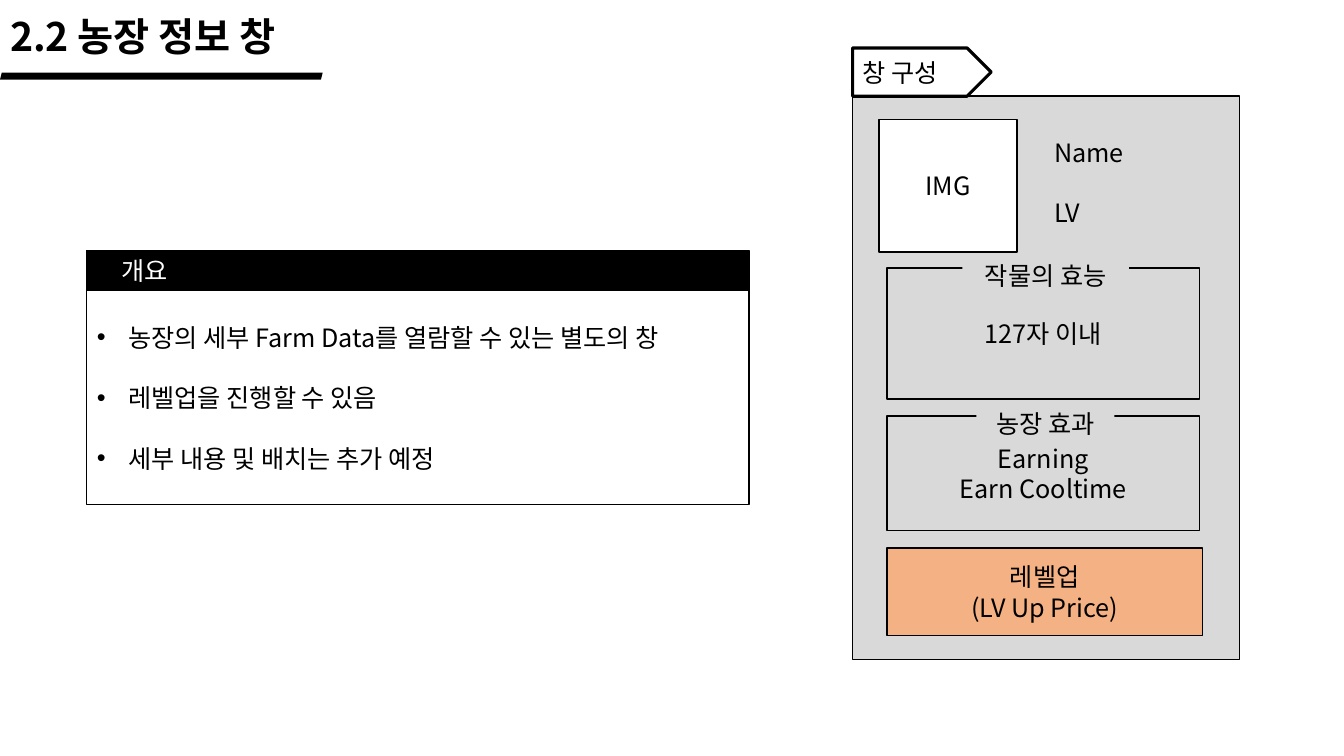
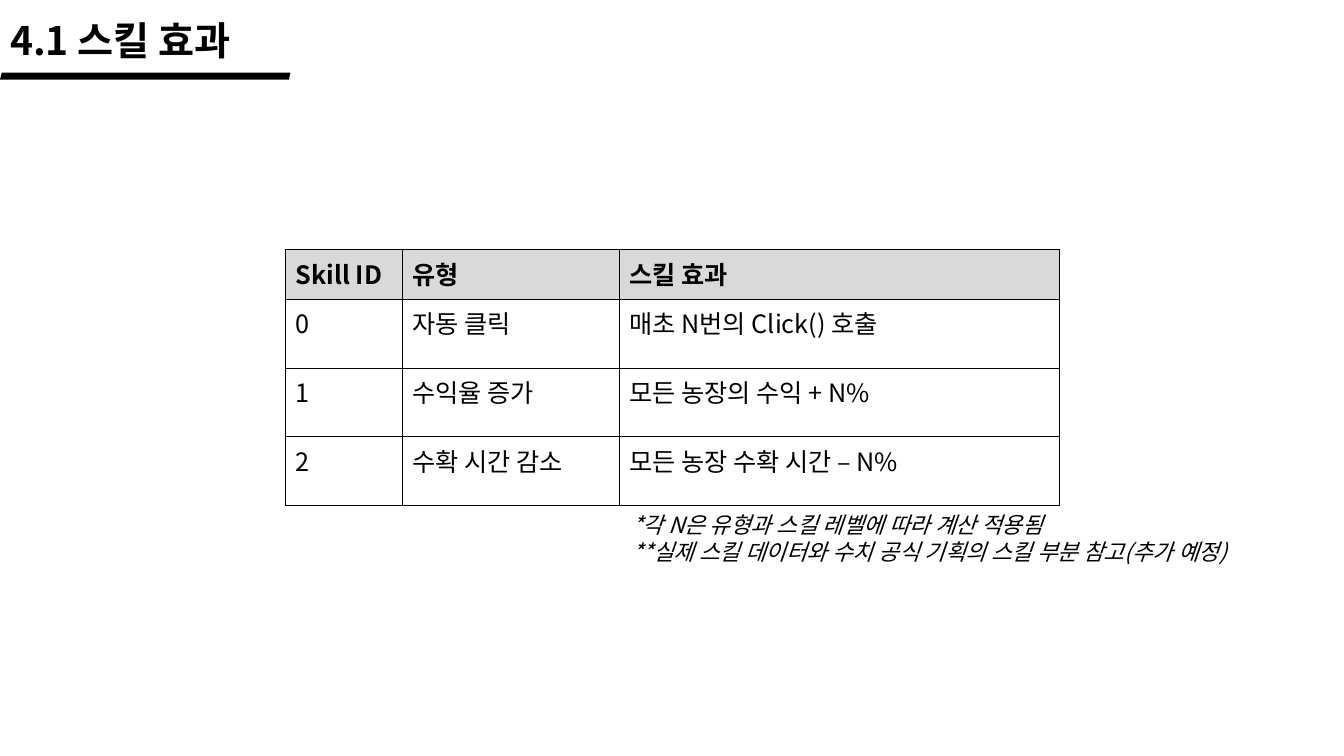
from lxml import etree
from pptx import Presentation
from pptx import util as u
from pptx.dml import color
from pptx.enum import shapes, text
from pptx.oxml import ns

FONT = "Noto Sans CJK KR"
BLACK, WHITE, GREY, ORANGE = "000000", "FFFFFF", "D9D9D9", "F4B183"
LEFT, CENTER = text.PP_ALIGN.LEFT, text.PP_ALIGN.CENTER
RECT, TAG = shapes.MSO_SHAPE.RECTANGLE, shapes.MSO_SHAPE.PENTAGON
TITLE_ONLY, TITLE_AND_BODY = 5, 1

FARM_TITLE = ("2.2 농장 정보 창", 5, 245, 230.5)
SKILL_TITLE = ("4.1 스킬 효과", 8, 221, 207.5)

OVERVIEW_HEADING = "개요"
OVERVIEW_POINTS = [
    "농장의 세부 Farm Data를 열람할 수 있는 별도의 창",
    "레벨업을 진행할 수 있음",
    "세부 내용 및 배치는 추가 예정",
]
OVERVIEW_LEFT, OVERVIEW_TOP, OVERVIEW_WIDTH = 62, 179, 473
HEADING_HEIGHT, POINTS_HEIGHT = 28.5, 153

WINDOW_PARTS = [
    ("", (609, 68.5, 276.5, 402.5), GREY, 1, CENTER, RECT),
    ("레벨업\v(LV Up Price)", (633.5, 391.5, 225.5, 62.5), ORANGE, 1, CENTER, RECT),
    ("창 구성", (609, 34.25, 99, 34.5), WHITE, 2.25, LEFT, TAG),
    ("IMG", (628, 85.5, 98.5, 94.5), WHITE, 1, CENTER, RECT),
    ("Name", (746, 94.5, 80.5, 29), None, 0, LEFT, RECT),
    ("LV", (746, 137, 80.5, 29), None, 0, LEFT, RECT),
    ("127자 이내", (633.5, 191.5, 223.5, 93.5), None, 1, CENTER, RECT),
    ("Earning\nEarn Cooltime", (633.5, 297, 223.5, 82), None, 1, CENTER, RECT),
    ("작물의 효능", (687.5, 183, 119, 27.5), GREY, 0, CENTER, RECT),
    ("농장 효과", (697.5, 288.5, 98.5, 27.5), GREY, 0, CENTER, RECT),
]

SKILL_ROWS = [
    ("Skill ID", "유형", "스킬 효과"),
    ("0", "자동 클릭", "매초 N번의 Click() 호출"),
    ("1", "수익율 증가", "모든 농장의 수익 + N%"),
    ("2", "수확 시간 감소", "모든 농장 수확 시간 – N%"),
]
SKILL_COLUMNS = (83.5, 155, 314.5)
SKILL_HEIGHTS = (35.5, 49, 49, 49)
SKILL_NOTES = ("*각 N은 유형과 스킬 레벨에 따라 계산 적용됨\n"
               "**실제 스킬 데이터와 수치 공식 기획의 스킬 부분 참고(추가 예정)")


def rgb(value):
    """Turn a hex string into a colour."""
    return color.RGBColor.from_string(value)


def place(part, left, top, width, height):
    """Move and size a part in points."""
    part.left, part.top = u.Pt(left), u.Pt(top)
    part.width, part.height = u.Pt(width), u.Pt(height)


def paint(part, fill, line_width):
    """Set the fill and the black outline of a part."""
    if fill:
        part.fill.solid()
        part.fill.fore_color.rgb = rgb(fill)
    else:
        part.fill.background()
    if line_width:
        part.line.color.rgb = rgb(BLACK)
        part.line.width = u.Pt(line_width)
    else:
        part.line.fill.background()


def style(frame, size=18, ink=BLACK, bold=False, italic=False, align=LEFT):
    """Format every run of a text frame."""
    for paragraph in frame.paragraphs:
        paragraph.alignment = align
        for run in paragraph.runs:
            font = run.font
            font.size, font.bold, font.italic = u.Pt(size), bold, italic
            font.color.rgb = rgb(ink)
            font.name = FONT
            east_asian = etree.SubElement(run._r.get_or_add_rPr(), ns.qn("a:ea"))
            east_asian.set("typeface", FONT)


def add_box(slide, words, area, fill=None, line_width=0, align=LEFT, outline=RECT, **look):
    """Add a shape with vertically centred text."""
    box = slide.shapes.add_shape(outline, *map(u.Pt, area))
    box.shadow.inherit = False
    paint(box, fill, line_width)
    frame = box.text_frame
    frame.word_wrap = True
    frame.vertical_anchor = text.MSO_ANCHOR.MIDDLE
    if words:
        frame.text = words
        style(frame, align=align, **look)
    return box


def add_titled_slide(deck, layout, title, top, title_width, rule_width):
    """Add a slide with its title and the slanted rule below."""
    slide = deck.slides.add_slide(deck.slide_layouts[layout])
    heading = slide.shapes.title
    place(heading, 0, top, title_width, 41)
    frame = heading.text_frame
    frame.text = title
    frame.auto_size = text.MSO_AUTO_SIZE.NONE
    frame.vertical_anchor = text.MSO_ANCHOR.TOP
    style(frame, size=28, bold=True)
    add_box(slide, "", (0, 52, rule_width, 5), BLACK, outline=shapes.MSO_SHAPE.PARALLELOGRAM)
    return slide


def add_overview(slide):
    """Add the black heading strip and the bulleted list."""
    strip = add_box(slide, OVERVIEW_HEADING,
                    (OVERVIEW_LEFT, OVERVIEW_TOP, OVERVIEW_WIDTH, HEADING_HEIGHT),
                    BLACK, 1, ink=WHITE)
    strip.text_frame.margin_left = u.Pt(25)
    points = slide.placeholders[1]
    place(points, OVERVIEW_LEFT, OVERVIEW_TOP + HEADING_HEIGHT, OVERVIEW_WIDTH, POINTS_HEIGHT)
    paint(points, WHITE, 1)
    frame = points.text_frame
    frame.text = "\n".join(OVERVIEW_POINTS)
    frame.auto_size = text.MSO_AUTO_SIZE.NONE
    frame.vertical_anchor = text.MSO_ANCHOR.MIDDLE
    style(frame)
    for index, paragraph in enumerate(frame.paragraphs):
        paragraph.space_before = u.Pt(21.6 if index else 0)
        properties = paragraph._p.get_or_add_pPr()
        properties.set("marL", str(u.Pt(22.5)))
        properties.set("indent", str(u.Pt(-22.5)))


def add_borders(cell):
    """Draw a thin black line on each side of a cell."""
    properties = cell._tc.get_or_add_tcPr()
    for side in ("lnL", "lnR", "lnT", "lnB"):
        line = etree.SubElement(properties, ns.qn("a:" + side), w=str(u.Pt(1)))
        fill = etree.SubElement(line, ns.qn("a:solidFill"))
        etree.SubElement(fill, ns.qn("a:srgbClr"), val=BLACK)


def add_skill_table(slide):
    """Add the table of skill effects."""
    area = (204, 178.5, sum(SKILL_COLUMNS), sum(SKILL_HEIGHTS))
    table = slide.shapes.add_table(len(SKILL_ROWS), len(SKILL_COLUMNS), *map(u.Pt, area)).table
    table.first_row = table.horz_banding = False
    for column, width in zip(table.columns, SKILL_COLUMNS):
        column.width = u.Pt(width)
    for index, (row, height, words) in enumerate(zip(table.rows, SKILL_HEIGHTS, SKILL_ROWS)):
        row.height = u.Pt(height)
        for cell, word in zip(row.cells, words):
            cell.text = word
            style(cell.text_frame, bold=index == 0)
            add_borders(cell)
            cell.fill.solid()
            cell.fill.fore_color.rgb = rgb(WHITE if index else GREY)


def main():
    """Build and save the deck."""
    deck = Presentation()
    deck.slide_width, deck.slide_height = u.Pt(960), u.Pt(540)

    farm = add_titled_slide(deck, TITLE_AND_BODY, *FARM_TITLE)
    add_overview(farm)
    for part in WINDOW_PARTS:
        add_box(farm, *part)

    skills = add_titled_slide(deck, TITLE_ONLY, *SKILL_TITLE)
    add_skill_table(skills)
    add_box(skills, SKILL_NOTES, (444.5, 361.5, 494.5, 46), size=16, italic=True)

    deck.save("out.pptx")


if __name__ == "__main__":
    main()
